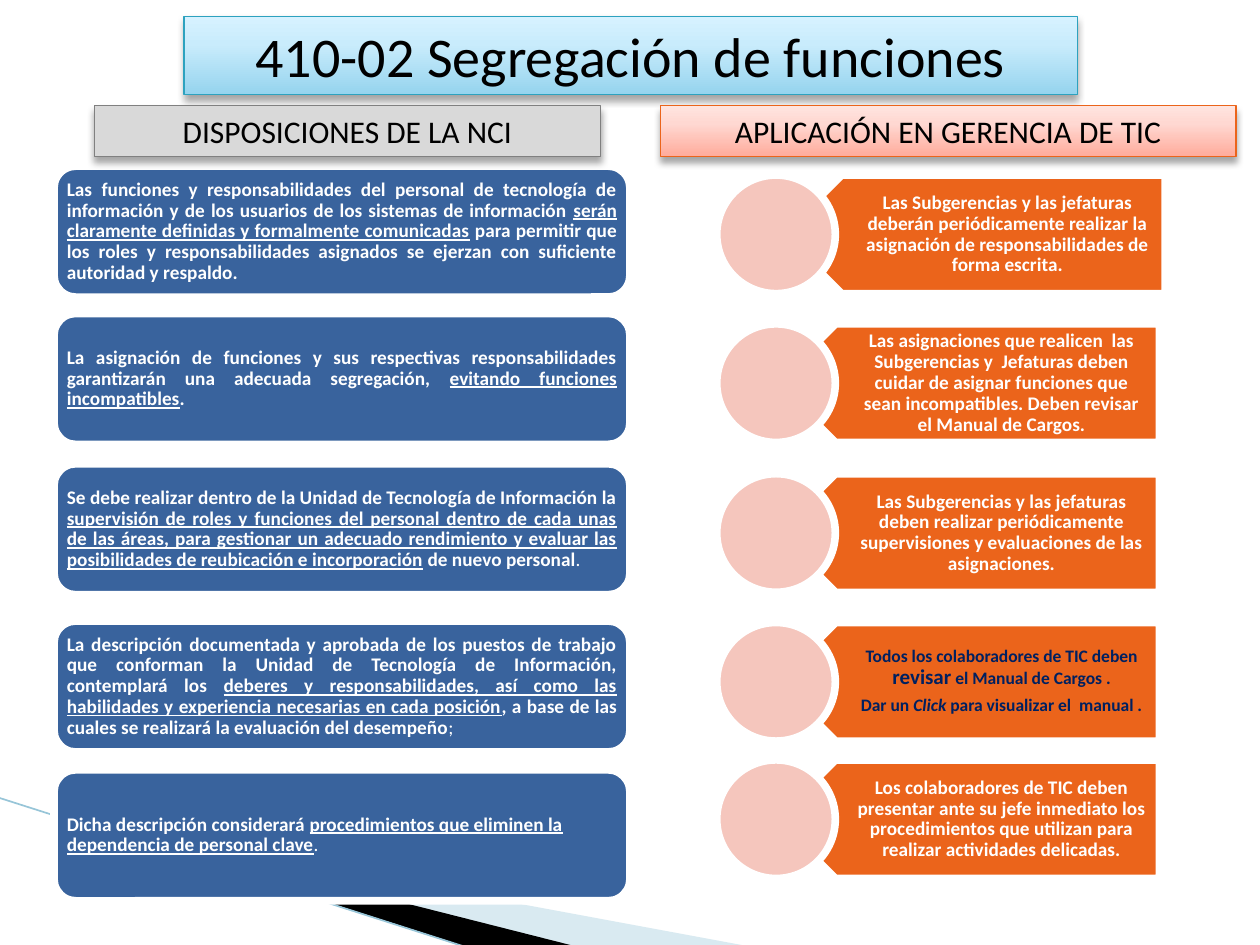
from copy import deepcopy

from lxml import etree
from pptx import Presentation
from pptx import util as u
from pptx.dml import color as dml
from pptx.enum import shapes, text
from pptx.oxml import ns

Cm = u.Cm
CENTER, JUSTIFY, LEFT = text.PP_ALIGN.CENTER, text.PP_ALIGN.JUSTIFY, text.PP_ALIGN.LEFT


def colour(value):
    return dml.RGBColor.from_string(value)


def write(frame, paragraphs, size, ink, align, insets, spacing=0.9):
    frame.word_wrap = True
    frame.vertical_anchor = text.MSO_ANCHOR.MIDDLE
    frame.margin_left, frame.margin_top, frame.margin_right, frame.margin_bottom = map(Cm, insets)
    for index, parts in enumerate(paragraphs):
        paragraph = frame.add_paragraph() if index else frame.paragraphs[0]
        paragraph.alignment = align
        paragraph.line_spacing = spacing
        paragraph.space_after = u.Pt(4.2 if spacing < 1 else 0)
        for words, style, *own_size in parts:
            run = paragraph.add_run()
            run.text = words
            run.font.name = "Calibri"
            run.font.size = u.Pt(own_size[0] if own_size else size)
            run.font.color.rgb = colour(ink)
            run.font.bold = "b" in style
            run.font.italic = "i" in style
            run.font.underline = "u" in style


deck = Presentation()
deck.slide_width, deck.slide_height = Cm(25.4), Cm(19.05)
slide = deck.slides.add_slide(deck.slide_layouts[6])
items = slide.shapes

waves = [
    ("A0CBDC", 40, [(1.4, 16.54), (15.11, 19.08), (11.58, 19.08), (1.4, 16.51)]),
    ("000000", 100, [(1.35, 16.48), (11.61, 19.08), (9.45, 19.1), (1.37, 16.51)]),
]
for tint, opacity, corners in waves:
    points = [(Cm(x), Cm(y)) for x, y in corners]
    outline = items.build_freeform(*points[0], scale=1.0)
    outline.add_line_segments(points[1:], close=True)
    wave = outline.convert_to_shape()
    wave.shadow.inherit = False
    wave.fill.solid()
    wave.fill.fore_color.rgb = colour(tint)
    wave.line.fill.background()
    tint_node = wave._element.spPr.find(ns.qn("a:solidFill"))[0]
    etree.SubElement(tint_node, ns.qn("a:alpha"), val=str(opacity * 1000))

edge = items.add_connector(shapes.MSO_CONNECTOR.STRAIGHT, Cm(-0.03), Cm(16.08), Cm(9.42), Cm(19.1))
edge.line.color.rgb = colour("97C5D8")
edge.line.width = u.Pt(0.95)
etree.SubElement(edge._element.spPr, ns.qn("a:effectLst"))

rules = [
    (3.35, JUSTIFY, [
        ("Las funciones y responsabilidades del personal de tecnología de información y de los "
         "usuarios de los sistemas de información ", "b"),
        ("serán claramente definidas y formalmente comunicadas", "bu"),
        (" para permitir que los roles y responsabilidades asignados se ejerzan con suficiente "
         "autoridad y respaldo.", "b")]),
    (6.32, JUSTIFY, [
        ("La asignación de funciones y sus respectivas responsabilidades garantizarán una "
         "adecuada segregación, ", "b"),
        ("evitando funciones incompatibles", "bu"),
        (".", "b")]),
    (9.35, JUSTIFY, [
        ("Se debe realizar dentro de la Unidad de Tecnología de Información la ", "b"),
        ("supervisión de roles y funciones del personal dentro de cada unas de las áreas, para "
         "gestionar un adecuado rendimiento y evaluar las posibilidades de reubicación e "
         "incorporación", "bu"),
        (" de nuevo personal", "b"),
        (".", "")]),
    (12.52, JUSTIFY, [
        ("La descripción documentada y aprobada de los puestos de trabajo que conforman la "
         "Unidad de Tecnología de Información, contemplará los ", "b"),
        ("deberes y responsabilidades, así como las habilidades y experiencia necesarias en "
         "cada posición", "bu"),
        (", a base de las cuales se realizará la evaluación del desempeño", "b"),
        (";", "")]),
    (15.52, LEFT, [
        ("Dicha descripción considerará ", "b"),
        ("procedimientos que eliminen la dependencia de personal clave", "bu"),
        (".", "")]),
]
for top, align, parts in rules:
    rule = items.add_shape(shapes.MSO_SHAPE.ROUNDED_RECTANGLE, Cm(1.09), Cm(top), Cm(11.61), Cm(2.64))
    rule.shadow.inherit = False
    rule.fill.solid()
    rule.fill.fore_color.rgb = colour("39639D")
    rule.line.color.rgb = colour("FFFFFF")
    rule.line.width = u.Pt(4.33)
    write(rule.text_frame, [parts], 11, "FFFFFF", align, [0.13] * 4)

actions = [
    (15.77, 3.53, 11, "FFFFFF", [[
        ("Las Subgerencias y las jefaturas deberán periódicamente realizar la asignación de "
         "responsabilidades de forma escrita.", "b")]]),
    (15.65, 6.53, 11, "FFFFFF", [[
        ("Las asignaciones que realicen  las Subgerencias y  Jefaturas deben cuidar de asignar "
         "funciones que sean incompatibles. Deben revisar el Manual de Cargos.", "b")]]),
    (15.65, 9.55, 11, "FFFFFF", [[
        ("Las Subgerencias y las jefaturas deben realizar periódicamente supervisiones y "
         "evaluaciones de las asignaciones.", "b")]]),
    (15.65, 12.55, 10, "002060", [
        [("Todos los colaboradores de TIC deben ", "b"), ("revisar", "b", 12),
         (" el Manual de Cargos .", "b")],
        [("Dar un ", "b"), ("Click ", "bi"), ("para visualizar el  manual .", "b")]]),
    (15.65, 15.32, 11, "FFFFFF", [[
        ("Los colaboradores de TIC deben presentar ante su jefe inmediato los procedimientos "
         "que utilizan para realizar actividades delicadas.", "b")]]),
]
height = Cm(2.39)
for left, top, size, ink, paragraphs in actions:
    arrow = items.add_shape(shapes.MSO_SHAPE.PENTAGON, Cm(left), Cm(top), Cm(7.72), height)
    arrow.rotation = 180
    action = items.add_textbox(Cm(left + 0.58), Cm(top), Cm(7.11), height)
    write(action.text_frame, paragraphs, size, ink, CENTER, [1.04, 0.13, 0.23, 0.13])
    disc = items.add_shape(shapes.MSO_SHAPE.OVAL, Cm(14.45), Cm(top), height, height)
    for part, tint in ((arrow, "EB641B"), (disc, "F5C6BD")):
        part.shadow.inherit = False
        part.fill.solid()
        part.fill.fore_color.rgb = colour(tint)
        part.line.color.rgb = colour("FFFFFF")
        part.line.width = u.Pt(4.33)

headings = [
    ("410-02 Segregación de funciones", 32, (3.71, 0.33, 18.01, 1.57),
     ["96D4EE", "C9ECFC", "D7F2FF"], "2DA2BF"),
    ("DISPOSICIONES DE LA NCI", 18, (1.9, 2.13, 10.21, 1.02), ["D9D9D9"], "808080"),
    ("APLICACIÓN EN GERENCIA DE TIC", 18, (13.31, 2.13, 11.61, 1.02),
     ["FFAC9C", "FFD8D2", "FFE4DF"], "EB641B"),
]
for words, size, place, tints, border in headings:
    heading = items.add_shape(shapes.MSO_SHAPE.RECTANGLE, *map(Cm, place))
    if len(tints) == 1:
        heading.fill.solid()
        heading.fill.fore_color.rgb = colour(tints[0])
    else:
        heading.fill.gradient()
        heading.fill.gradient_angle = 90
        stop_list = heading._element.spPr.find(ns.qn("a:gradFill")).find(ns.qn("a:gsLst"))
        stop_list.append(deepcopy(stop_list[-1]))
        for stop, position, tint in zip(heading.fill.gradient_stops, (0, 0.65, 1), tints):
            stop.position = position
            stop.color.rgb = colour(tint)
    heading.line.color.rgb = colour(border)
    heading.line.width = u.Pt(0.75)
    heading.shadow.inherit = False
    effects = heading._element.spPr.find(ns.qn("a:effectLst"))
    shade = etree.SubElement(effects, ns.qn("a:outerShdw"), blurRad=str(u.Pt(4)), dist=str(u.Pt(3)),
                             dir="5400000", rotWithShape="0")
    black = etree.SubElement(shade, ns.qn("a:srgbClr"), val="000000")
    etree.SubElement(black, ns.qn("a:alpha"), val="35000")
    write(heading.text_frame, [[(words, "")]], size, "000000", CENTER, [0.25, 0.13, 0.25, 0.13], 1.0)

deck.save("out.pptx")
